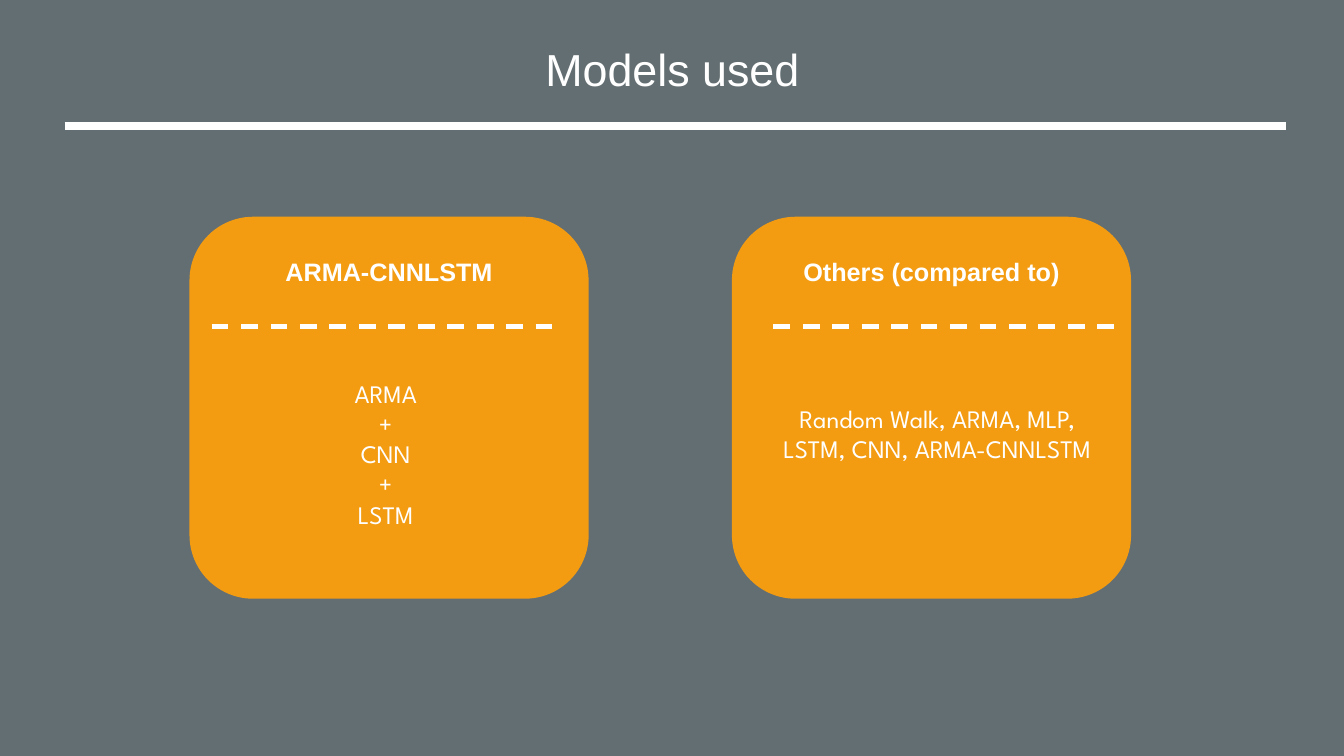
from dataclasses import dataclass

from lxml import etree
from pptx import Presentation
from pptx import util as u
from pptx.dml.color import RGBColor
from pptx.enum import dml, shapes, text
from pptx.oxml.ns import qn


@dataclass(frozen=True)
class Theme:
    back: RGBColor = RGBColor(0x63, 0x6E, 0x72)
    card: RGBColor = RGBColor(0xF3, 0x9C, 0x12)
    ink: RGBColor = RGBColor(0xFF, 0xFF, 0xFF)
    head_font: str = "Arial"
    body_font: str = "League Spartan"
    title_size: int = 32
    text_size: int = 18


THEME = Theme()
WIDTH, HEIGHT = u.Inches(13.33), u.Inches(7.5)

# Shares of the slide, in percent
CARD_TOP, CARD_W, CARD_H = 28.67, 29.7, 50.53
HEAD_TOP, HEAD_H = 33.2, 5.33
DIVIDER_Y, INNER_W = 43.2, 25.6


def across(share):
    return round(WIDTH * share / 100)


def down(share):
    return round(HEIGHT * share / 100)


def area(x, y, w, h):
    return across(x), down(y), across(w), down(h)


def add_text(s, box, lines, font, size, bold=False,
             anchor=text.MSO_ANCHOR.TOP, spacing=None):
    tf = s.shapes.add_textbox(*box).text_frame
    tf.word_wrap = True
    tf.vertical_anchor = anchor
    tf.text = lines
    for p in tf.paragraphs:
        p.alignment = text.PP_ALIGN.CENTER
        p.line_spacing = spacing
        for r in p.runs:
            r.font.name, r.font.size = font, u.Pt(size)
            r.font.bold = bold
            r.font.color.rgb = THEME.ink


def add_rule(s, x, y, w, weight, dash=None):
    line = s.shapes.add_connector(shapes.MSO_CONNECTOR.STRAIGHT, across(x),
                                  down(y), across(x + w), down(y))
    line.line.color.rgb = THEME.ink
    line.line.width = u.Pt(weight)
    line.line.dash_style = dash
    etree.SubElement(line._element.spPr, qn("a:effectLst"))


def add_card(s, x, heading, divider_x, body, body_x, body_y, body_h):
    sp = s.shapes.add_shape(shapes.MSO_SHAPE.ROUNDED_RECTANGLE,
                            *area(x, CARD_TOP, CARD_W, CARD_H))
    sp.shadow.inherit = False
    sp.fill.solid()
    sp.fill.fore_color.rgb = THEME.card
    sp.line.fill.background()
    add_text(s, area(body_x, body_y, INNER_W, body_h), body,
             THEME.body_font, THEME.text_size)
    add_rule(s, divider_x, DIVIDER_Y, INNER_W, 3, dml.MSO_LINE.DASH)
    add_text(s, area(x, HEAD_TOP, CARD_W, HEAD_H), heading,
             THEME.head_font, THEME.text_size, bold=True)


def main():
    prs = Presentation()
    prs.slide_width, prs.slide_height = WIDTH, HEIGHT
    s = prs.slides.add_slide(prs.slide_layouts[6])
    s.background.fill.solid()
    s.background.fill.fore_color.rgb = THEME.back

    # Title and rule
    add_text(s, area(6.9, -0.1, 86.27, 19.3), "Models used",
             THEME.head_font, THEME.title_size,
             anchor=text.MSO_ANCHOR.MIDDLE, spacing=0.9)
    add_rule(s, 4.8, 16.67, 90.85, 6)

    # Model cards
    add_card(s, 14.1, "ARMA-CNNLSTM", 15.75,
             "ARMA\n+\nCNN\n+\nLSTM", 15.9, 49.33, 21.6)
    add_card(s, 54.46, "Others (compared to)", 57.54,
             "Random Walk, ARMA, MLP, LSTM, CNN, ARMA-CNNLSTM",
             56.94, 52.67, 13.47)

    prs.save("out.pptx")


if __name__ == "__main__":
    main()
